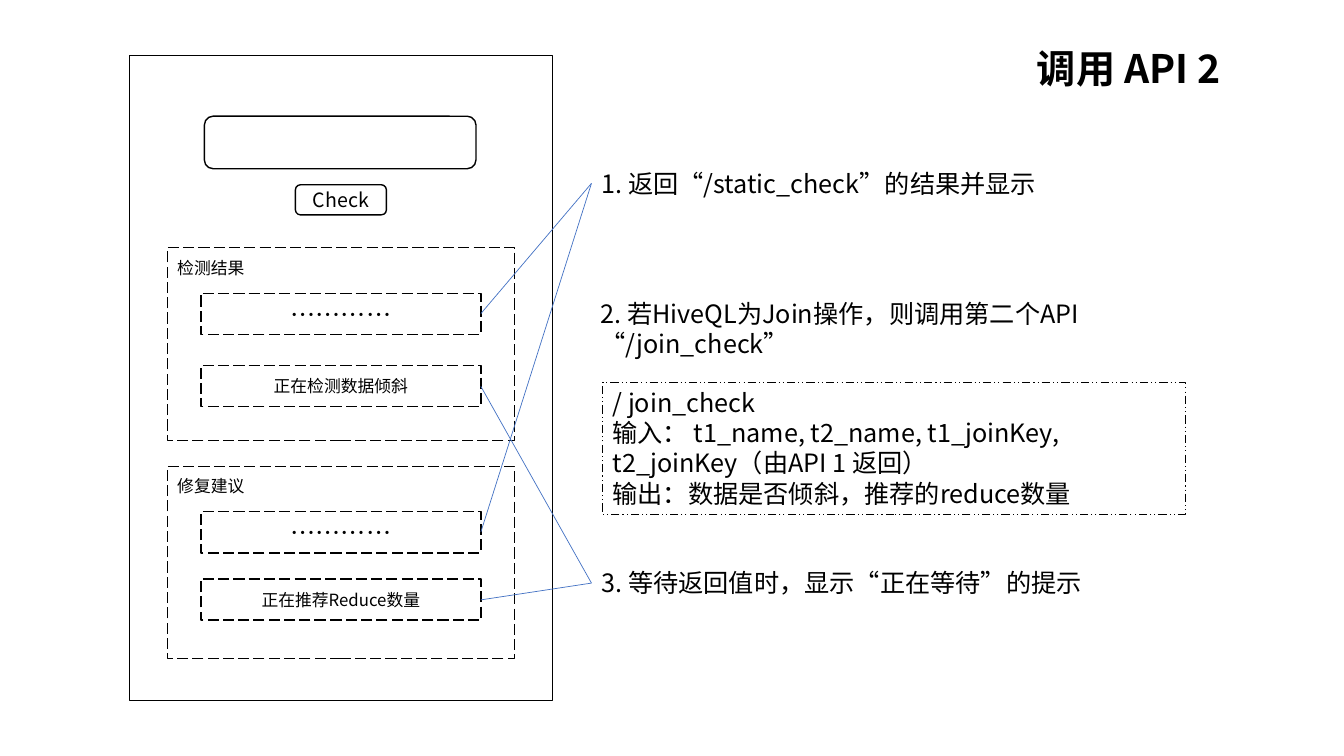
from pptx import Presentation
from pptx.dml.color import RGBColor
from pptx.enum.dml import MSO_LINE as Dash
from pptx.enum.shapes import MSO_CONNECTOR as Conn, MSO_SHAPE as Shape
from pptx.enum.text import MSO_ANCHOR as Anchor, MSO_AUTO_SIZE as Fit, PP_ALIGN as Align
from pptx.oxml.ns import qn
from pptx.util import Pt
from lxml import etree

FONT = "Noto Sans CJK SC"
COLORS = {"ink": "000000", "link": "4472C4"}
INK = RGBColor.from_string(COLORS["ink"])
LINK = RGBColor.from_string(COLORS["link"])

deck = Presentation()
deck.slide_width, deck.slide_height = Pt(960), Pt(540)
slide = deck.slides.add_slide(deck.slide_layouts[5])
shapes = slide.shapes


def write(shape, text, size, align=Align.LEFT, anchor=Anchor.TOP, bold=False):
    frame = shape.text_frame
    frame.text = text
    frame.word_wrap = True
    frame.auto_size = Fit.NONE
    frame.vertical_anchor = anchor
    for para in frame.paragraphs:
        para.alignment = align
        font = para.font
        font.size, font.bold, font.name = Pt(size), bold, FONT
        font.color.rgb = INK
        # East Asian glyphs need their own typeface entry
        props = para._p.pPr.find(qn("a:defRPr"))
        etree.SubElement(props, qn("a:ea"), typeface=FONT)


def frame_box(kind, left, top, width, height, dash=None, weight=1):
    box = shapes.add_shape(kind, Pt(left), Pt(top), Pt(width), Pt(height))
    box.shadow.inherit = False
    box.fill.background()
    box.line.color.rgb = INK
    box.line.width = Pt(weight)
    if dash:
        box.line.dash_style = dash
    return box


# Title
title = shapes.title
title.left, title.top, title.width, title.height = Pt(733.5), Pt(28), Pt(226), Pt(41)
write(title, "调用 API 2", 28, bold=True)

# Page mock-up with input field and button
frame_box(Shape.RECTANGLE, 92.5, 39.5, 302, 461)
frame_box(Shape.ROUNDED_RECTANGLE, 146, 83, 194, 37.5)
button = frame_box(Shape.ROUNDED_RECTANGLE, 211, 132, 65, 21.5)
write(button, "Check", 14, Align.CENTER, Anchor.MIDDLE)

# Result and advice panels: label, top, offset and text of the second row
panels = [
    ("检测结果", 177, 84, "正在检测数据倾斜"),
    ("修复建议", 333, 80.5, "正在推荐Reduce数量"),
]
for label, top, gap, status in panels:
    frame_box(Shape.RECTANGLE, 119.5, top, 248, 137.5, Dash.LONG_DASH)
    head = shapes.add_textbox(Pt(119.5), Pt(top + 3.5), Pt(63), Pt(22))
    write(head, label, 12)
    for shift, text, size in [(32.5, "…………", 18), (gap, status, 12)]:
        row = frame_box(Shape.RECTANGLE, 143.5, top + shift, 200, 29.5, Dash.LONG_DASH)
        write(row, text, size, Align.CENTER, Anchor.MIDDLE)

# Numbered steps
steps = [
    (422.5, 116.5, 29, "1. 返回“/static_check”的结果并显示"),
    (422, 209.5, 51, "2. 若HiveQL为Join操作，则调用第二个API “/join_check”"),
    (422.5, 402, 29, "3. 等待返回值时，显示“正在等待”的提示"),
]
for left, top, height, text in steps:
    step = shapes.add_textbox(Pt(left), Pt(top), Pt(391), Pt(height))
    write(step, text, 18)

# Interface details
detail = frame_box(Shape.RECTANGLE, 430.5, 273, 416, 94.5, Dash.DASH_DOT_DOT, 0.75)
write(detail, "/ join_check\n"
      "输入： t1_name, t2_name, t1_joinKey, t2_joinKey（由API 1 返回）\n"
      "输出：数据是否倾斜，推荐的reduce数量", 18)

# Links from rows to steps
for start, end in [(224, 131), (380, 131), (276, 416.5), (428.5, 416.5)]:
    link = shapes.add_connector(Conn.STRAIGHT, Pt(343.5), Pt(start), Pt(422.5), Pt(end))
    link.line.color.rgb = LINK
    link.line.width = Pt(0.5)
    etree.SubElement(link._element.spPr, qn("a:effectLst"))

deck.save("out.pptx")
